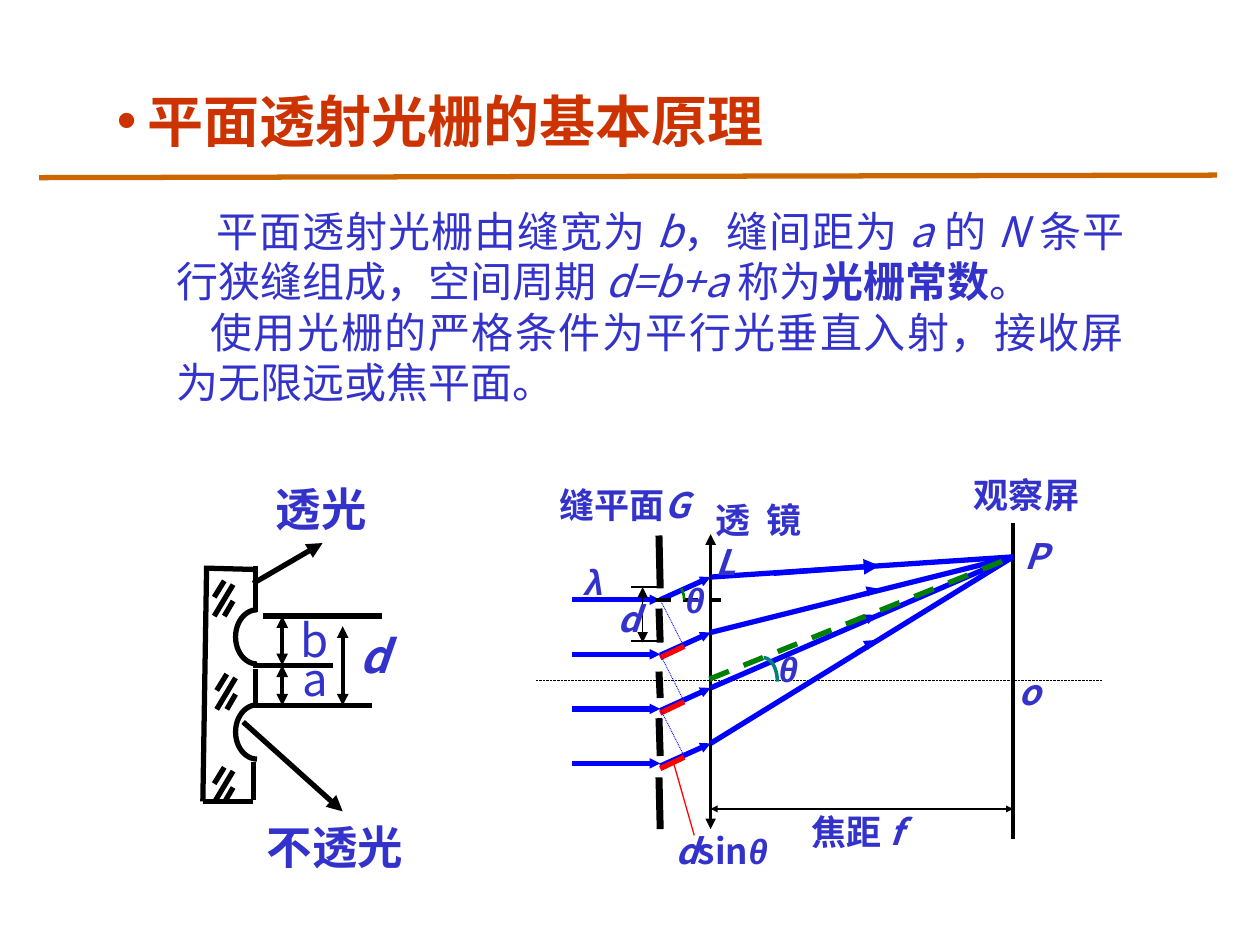
import math
import pptx
import pptx.util
import pptx.dml.color
import pptx.enum.dml
import pptx.enum.shapes
import pptx.enum.text
import pptx.oxml.ns
import lxml.etree

ALIGN = pptx.enum.text.PP_ALIGN
DASH = pptx.enum.dml.MSO_LINE
WIDE, HIGH = pptx.util.Inches(10), pptx.util.Inches(7.5)
COL, ROW = WIDE / 100, HIGH / 75


class Theme:
    font, greek = "Noto Sans CJK SC", "Arial"
    ink, title, rule = "3333CC", "CC3300", "CC6600"
    black, ray, red, green, teal = "000000", "0000FF", "FF0000", "008000", "008080"
    head, body, mark, note = 32, 24, 26, 20
    lead = 1.2


def tint(code):
    return pptx.dml.color.RGBColor.from_string(code)


def tag(node, name, **attrs):
    child = lxml.etree.SubElement(node, pptx.oxml.ns.qn("a:" + name))
    for key, value in attrs.items():
        child.set(key, value)
    return child


def x_at(col):
    return round(col * COL)


def y_at(row):
    return round(row * ROW)


def line(slide, start, end, color=Theme.black, width=3, tips="", dash=None):
    item = slide.shapes.add_connector(
        pptx.enum.shapes.MSO_CONNECTOR.STRAIGHT,
        x_at(start[0]), y_at(start[1]), x_at(end[0]), y_at(end[1]))
    item.line.color.rgb = tint(color)
    item.line.width = pptx.util.Pt(width)
    if dash:
        item.line.dash_style = dash
    edge = item.line._get_or_add_ln()
    size = "sm" if "small" in tips else "med"
    for name in ("head", "tail"):
        if name in tips:
            tag(edge, name + "End", type="triangle", w=size, len=size)
    tag(item._element.spPr, "effectLst")


def arc(slide, mid, size, span, color, width):
    steps = 24
    turns = [math.radians(span[0] + (span[1] - span[0]) * i / steps)
             for i in range(steps + 1)]
    dots = [(x_at(mid[0] + size[0] * math.cos(t)),
             y_at(mid[1] - size[1] * math.sin(t))) for t in turns]
    pen = slide.shapes.build_freeform(*dots[0])
    pen.add_line_segments(dots[1:], close=False)
    item = pen.convert_to_shape()
    item.shadow.inherit = False
    item.fill.background()
    item.line.color.rgb = tint(color)
    item.line.width = pptx.util.Pt(width)


def fill(para, parts, size, color, align):
    para.alignment = align
    para.line_spacing = pptx.util.Pt(round(size * Theme.lead, 1))
    for text, style in parts:
        run = para.add_run()
        run.text = text
        font = run.font
        font.name = Theme.greek if "g" in style else Theme.font
        font.size = pptx.util.Pt(size)
        font.bold, font.italic = "b" in style, "i" in style
        font.color.rgb = tint(color)
        tag(run._r.get_or_add_rPr(), "ea", typeface=font.name)


def label(slide, box, paras, size, color=Theme.ink, align=ALIGN.JUSTIFY,
          inset=(0.1, 0.05)):
    item = slide.shapes.add_textbox(
        x_at(box[0]), y_at(box[1]), x_at(box[2]), y_at(box[3]))
    frame = item.text_frame
    frame.word_wrap = True
    frame.margin_left = frame.margin_right = pptx.util.Inches(inset[0])
    frame.margin_top = frame.margin_bottom = pptx.util.Inches(inset[1])
    for i, parts in enumerate(paras):
        para = frame.add_paragraph() if i else frame.paragraphs[0]
        fill(para, parts, size, color, align)
    return frame


def note(slide, box, *parts):
    label(slide, box, [parts], Theme.note, inset=(0.01, 0.01))


def mark(slide, box, text, style=""):
    label(slide, box, [[(text, style)]], Theme.mark, align=ALIGN.CENTER,
          inset=(0.02, 0.05))


def title(slide):
    frame = label(slide, (8.3, 3.3, 85, 12.5), [[("平面透射光栅的基本原理", "b")]],
                  Theme.head, Theme.title, ALIGN.LEFT)
    frame.vertical_anchor = pptx.enum.text.MSO_ANCHOR.MIDDLE
    prop = frame.paragraphs[0]._p.get_or_add_pPr()
    prop.set("marL", str(x_at(2.4)))
    prop.set("indent", str(x_at(-2.4)))
    tag(prop, "buFont", typeface="Arial")
    tag(prop, "buChar", char="•")
    line(slide, (3.1, 14.1), (96.6, 13.9), Theme.rule)


def body(slide):
    first = [("平面透射光栅由缝宽为 ", ""), ("b", "i"), ("，缝间距为 ", ""),
             ("a ", "i"), ("的 ", ""), ("N ", "i"),
             ("条平行狭缝组成，空间周期 ", ""), ("d=b+a ", "i"), ("称为", ""),
             ("光栅常数", "b"), ("。", "")]
    then = [("使用光栅的严格条件为平行光垂直入射，接收屏为无限远或焦平面。", "")]
    frame = label(slide, (13, 15.8, 77.2, 17), [first, then], Theme.body)
    for para, shift in zip(frame.paragraphs, (3.2, 2.7)):
        para._p.get_or_add_pPr().set("indent", str(x_at(shift)))


def rays(slide):
    blue, focus = Theme.ray, (80.4, 44.2)
    for i in range(4):
        row, out = 47.6 + 4.33 * i, 47.6 + 4.4 * i
        line(slide, (45.4, row), (52.4, row), blue, tips="small tail")
        line(slide, (52.4, out), (56.4, out - 1.8), blue, tips="small tail")
        line(slide, (56.4, out - 1.8), focus, blue)
        if i:
            line(slide, (52.4, out + 0.2), (54.3, out - 0.7), Theme.red)
        if i < 3:
            line(slide, (52.4, row), (54.3, row + 3.75), blue, 0.5,
                 dash=DASH.ROUND_DOT)
    line(slide, (61.4, 45.5), (69.8, 44.9), blue, tips="tail")
    for start, end in (((67.6, 47.3), (69.6, 46.7)), ((67.8, 49.6), (69.5, 48.8)),
                       ((67.9, 51.7), (69.4, 50.8))):
        line(slide, start, end, blue, 0.75, "tail")
    line(slide, (56.3, 53.9), focus, Theme.green, dash=DASH.DASH)


def optics(slide):
    line(slide, (56.4, 42.4), (56.4, 65.8), width=2, tips="head tail")
    line(slide, (80.4, 41.5), (80.4, 66.6), width=2)
    for top, low in ((42.5, 46.7), (48.3, 51), (53.3, 55.4), (57, 60), (61.7, 65.8)):
        line(slide, (52.3, top), (52.4, low), width=4)
    line(slide, (42.5, 54), (87.5, 54), width=0.5, dash=DASH.SQUARE_DOT)
    rays(slide)
    line(slide, (56.4, 64.2), (80.4, 64.2), width=0.75, tips="small head tail")
    for row in (46.6, 50.9):
        line(slide, (50.1, row), (52.2, row), width=1)
    line(slide, (51, 46.6), (51, 51), width=0.75, tips="head tail")
    line(slide, (53.5, 60.7), (55.1, 66.3), Theme.red, 0.75)
    line(slide, (52, 47.6), (57.2, 47.6), width=2.25, dash=DASH.DASH)
    arc(slide, (60.6, 54.1), (1.1, 1.9), (0, 90), Theme.teal, 2)
    arc(slide, (52.4, 47.6), (1.9, 1.9), (0, 28), Theme.green, 1.5)
    note(slide, (80.7, 53.1, 3.5, 4.2), ("o", "bi"))
    note(slide, (81.2, 42.3, 2.8, 3.4), ("P", "bi"))
    note(slide, (64.3, 64.2, 9.2, 3.1), ("焦距 ", "b"), ("f", "bi"))
    note(slide, (44.3, 38.3, 11.1, 2.8), ("缝平面", "b"), ("G", "bi"))
    note(slide, (77.2, 37.5, 8.8, 3.2), ("观察屏", "b"))
    note(slide, (56.7, 39.5, 7, 3.9), ("透镜", "b"), ("L", "bi"))
    note(slide, (46.3, 44.4, 2.6, 3.9), ("λ", "big"))
    for col, row in ((61.7, 51.3), (54.3, 45.8)):
        note(slide, (col, row, 2.9, 3.5), ("θ", "big"))
    note(slide, (53.5, 65.7, 8.2, 2.8), ("d", "bi"), ("sin", "b"), ("θ", "big"))
    note(slide, (48.9, 47.3, 3.2, 3.3), ("d", "bi"))


def plate(slide):
    for start, end in (((16.6, 45.1), (20.3, 45.2)), ((20.3, 44.9), (20.3, 48.6)),
                       ((20.3, 53.1), (20.3, 56.2)), ((20.1, 60.5), (20.1, 63.5)),
                       ((16.4, 44.9), (16.1, 63.6)), ((16.1, 63.6), (20.1, 63.6)),
                       ((20.9, 48.9), (30.3, 48.9)), ((20.1, 52.8), (26.4, 52.8)),
                       ((20.1, 56), (29.5, 56))):
        line(slide, start, end)
    for col, row in ((17, 46.1), (17.2, 53.5), (17, 60.9)):
        for right, top, left, low in ((1.5, 1.6, 0.8, 2.8), (0.8, 0, 0, 1.3),
                                      (1.5, 0.3, 0, 2.8)):
            line(slide, (col + right, row + top), (col + left, row + low))
    for row in (50.55, 58.1):
        arc(slide, (20.4, row), (1.7, 2.15), (90, 270), Theme.black, 3)
    for col, top, low in ((22.4, 52.8, 56), (22.4, 48.9, 52.8), (27.2, 49.7, 56)):
        line(slide, (col, top), (col, low), width=2.25, tips="head tail")
    line(slide, (20.1, 46.3), (25.6, 43.1), tips="tail")
    line(slide, (19.3, 57.3), (27.2, 64.4), tips="tail")
    label(slide, (28.4, 49.7, 4.3, 2.9), [[("d", "bi")]], Theme.mark,
          inset=(0.01, 0.01))
    mark(slide, (23, 51.2, 4, 5.4), "a")
    mark(slide, (22.9, 48.1, 4.2, 5.4), "b")
    mark(slide, (20.9, 37.7, 9.2, 5.4), "透光", "b")
    mark(slide, (20.2, 64.5, 12.8, 5.4), "不透光", "b")


def main():
    deck = pptx.Presentation()
    deck.slide_width, deck.slide_height = WIDE, HIGH
    slide = deck.slides.add_slide(deck.slide_layouts[6])
    body(slide)
    title(slide)
    optics(slide)
    plate(slide)
    deck.save("out.pptx")


if __name__ == "__main__":
    main()
